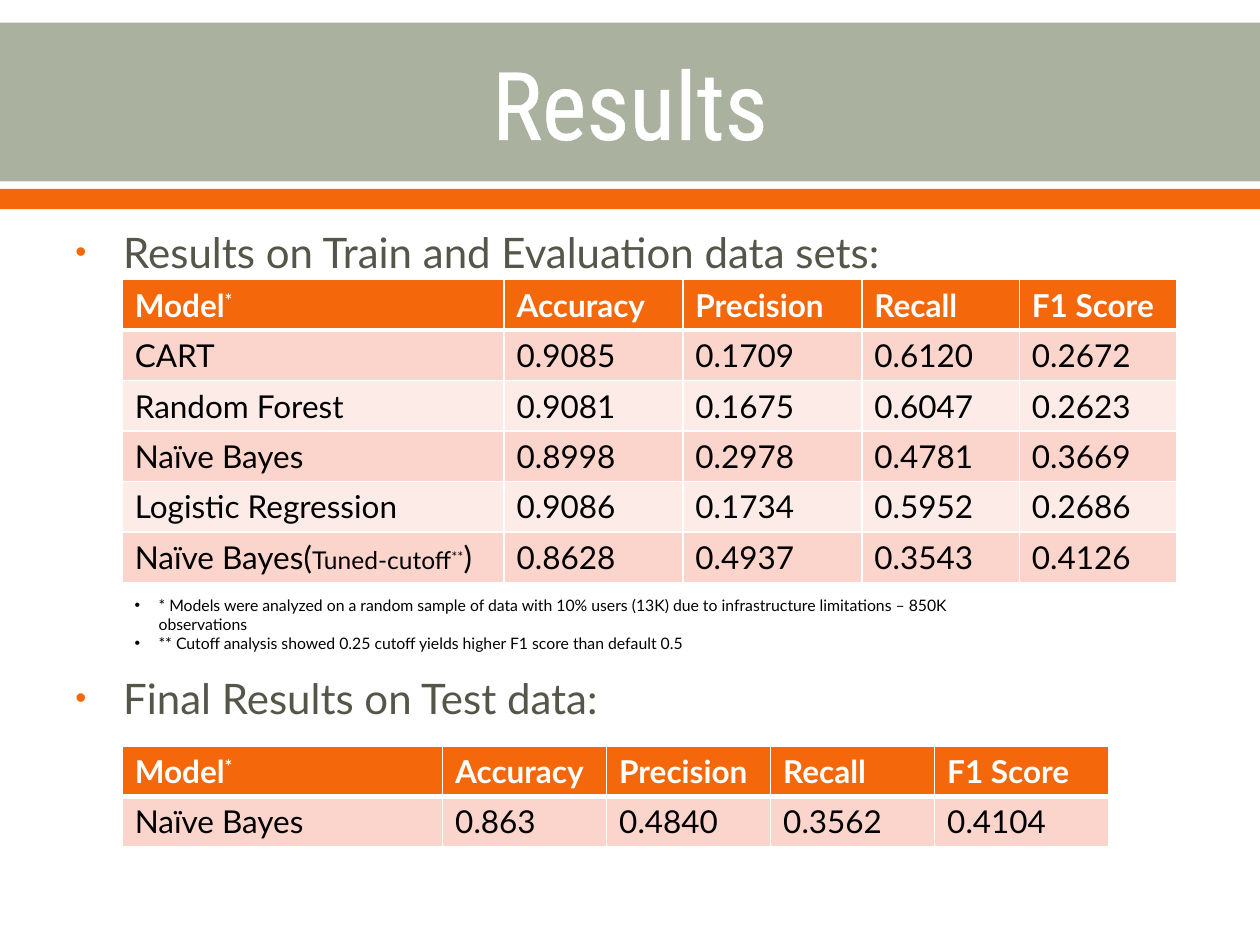
from lxml import etree
from pptx import Presentation
from pptx import util as u
from pptx.dml.color import RGBColor
from pptx.enum import shapes, text
from pptx.oxml.ns import qn

WIDTH, HEIGHT = u.Inches(10), u.Inches(7.5)
ORANGE, SAGE, OLIVE = "F4680B", "ABB19F", "55554A"
WHITE, BLACK = "FFFFFF", "000000"
BANDS = "FBD4CC", "FDEBE7"
BODY_FONT, TITLE_FONT = "Lato", "Roboto Condensed"

HEADER = [["Model", ("*", {"raised": True})], "Accuracy", "Precision", "Recall", "F1 Score"]
TUNED = ["Naïve Bayes(", ("Tuned-cutoff", {"size": 14}),
         ("**", {"size": 14, "raised": True}), ")"]
TRAIN_ROWS = [
    HEADER,
    ["CART", "0.9085", "0.1709", "0.6120", "0.2672"],
    ["Random Forest", "0.9081", "0.1675", "0.6047", "0.2623"],
    ["Naïve Bayes", "0.8998", "0.2978", "0.4781", "0.3669"],
    ["Logistic Regression", "0.9086", "0.1734", "0.5952", "0.2686"],
    [TUNED, "0.8628", "0.4937", "0.3543", "0.4126"],
]
TEST_ROWS = [HEADER, ["Naïve Bayes", "0.863", "0.4840", "0.3562", "0.4104"]]
NOTES = [
    "* Models were analyzed on a random sample of data with 10% users (13K) "
    "due to infrastructure limitations – 850K observations",
    "** Cutoff analysis showed 0.25 cutoff yields higher F1 score than default 0.5",
]


def color(value):
    return RGBColor.from_string(value)


def area(left, top, width, height):
    """Turn percentages of the slide into a box."""
    return [u.Emu(int(share * side / 100)) for share, side in
            zip((left, top, width, height), (WIDTH, HEIGHT) * 2)]


def add_line(parent, tag, points, fill):
    line = etree.SubElement(parent, qn(tag), w=str(u.Pt(points)))
    solid = etree.SubElement(line, qn("a:solidFill"))
    etree.SubElement(solid, qn("a:srgbClr"), val=fill)
    return line


def write(para, words, size=18, font=BODY_FONT, fill=BLACK, bold=False, raised=False):
    span = para.add_run()
    span.text = words
    span.font.size, span.font.name, span.font.bold = u.Pt(size), font, bold
    span.font.color.rgb = color(fill)
    if raised:
        span.font._element.set("baseline", "30000") if hasattr(span.font, "_element") \
            else span._r.get_or_add_rPr().set("baseline", "30000")
    return span


def add_bullet(para, indent, fill, percent=100):
    props = para._p.get_or_add_pPr()
    props.set("marL", str(u.Inches(indent)))
    props.set("indent", str(-u.Inches(indent)))
    tint = etree.SubElement(props, qn("a:buClr"))
    etree.SubElement(tint, qn("a:srgbClr"), val=fill)
    etree.SubElement(props, qn("a:buSzPct"), val=str(percent * 1000))
    etree.SubElement(props, qn("a:buFont"), typeface="Arial")
    etree.SubElement(props, qn("a:buChar"), char="•")


def add_text_frame(page, box):
    frame = page.shapes.add_textbox(*box).text_frame
    frame.word_wrap = True
    return frame


def add_band(page, box, fill):
    band = page.shapes.add_shape(shapes.MSO_SHAPE.RECTANGLE, *box)
    band.shadow.inherit = False
    band.fill.solid()
    band.fill.fore_color.rgb = color(fill)
    band.line.fill.background()


def add_title(page, box, words):
    frame = add_text_frame(page, box)
    frame.vertical_anchor = text.MSO_ANCHOR.MIDDLE
    para = frame.paragraphs[0]
    para.alignment = text.PP_ALIGN.CENTER
    span = write(para, words, size=54, font=TITLE_FONT, fill=WHITE)
    props = span._r.get_or_add_rPr()
    props.insert(0, add_line(props, "a:ln", 1.1, WHITE))


def add_heading(page, box, words):
    para = add_text_frame(page, box).paragraphs[0]
    add_bullet(para, 0.38, ORANGE, percent=75)
    write(para, words, size=24, fill=OLIVE)


def add_notes(page, box, notes):
    frame = add_text_frame(page, box)
    for index, note in enumerate(notes):
        para = frame.add_paragraph() if index else frame.paragraphs[0]
        add_bullet(para, 0.19, BLACK)
        write(para, note, size=9)


def style_cell(cell, row):
    # Borders come before the fill in the cell's properties
    props = cell._tc.get_or_add_tcPr()
    for side in "LRTB":
        thick = (row, side) in ((0, "B"), (1, "T"))
        add_line(props, f"a:ln{side}", 3 if thick else 1, WHITE)
    cell.fill.solid()
    cell.fill.fore_color.rgb = color(BANDS[(row - 1) % 2] if row else ORANGE)


def add_results(page, box, rows, columns):
    """Share the box's width among the columns and its height evenly among rows."""
    table = page.shapes.add_table(len(rows), len(columns), *box).table
    table.first_row = table.horz_banding = False
    for column, weight in zip(table.columns, columns):
        column.width = int(box[2] * weight / sum(columns))
    for number, values in enumerate(rows):
        table.rows[number].height = int(box[3] / len(rows))
        base = {"fill": BLACK if number else WHITE, "bold": number == 0}
        for index, value in enumerate(values):
            cell = table.cell(number, index)
            style_cell(cell, number)
            for part in [value] if isinstance(value, str) else value:
                words, extra = (part, {}) if isinstance(part, str) else part
                write(cell.text_frame.paragraphs[0], words, **{**base, **extra})


def main():
    deck = Presentation()
    deck.slide_width, deck.slide_height = WIDTH, HEIGHT
    page = deck.slides.add_slide(deck.slide_layouts[6])

    # Title bands
    add_band(page, area(0, 2.4, 100, 16.8), SAGE)
    add_band(page, area(0, 20, 100, 2.13), ORANGE)
    add_title(page, area(5, 2.67, 90, 16.27), "Results")

    # Train and evaluation results
    add_heading(page, area(5, 23.33, 90, 6.6), "Results on Train and Evaluation data sets:")
    add_results(page, area(9.7, 29.6, 83.7, 32), TRAIN_ROWS, (3.03, 1.42, 1.42, 1.25, 1.25))
    add_notes(page, area(9.7, 62.4, 73.1, 7.3), NOTES)

    # Test results
    add_heading(page, area(5, 70.53, 90, 6.6), "Final Results on Test data:")
    add_results(page, area(9.7, 78.93, 78.3, 10.67), TEST_ROWS, (2.54, 1.3, 1.3, 1.3, 1.38))

    deck.save("out.pptx")


if __name__ == "__main__":
    main()
